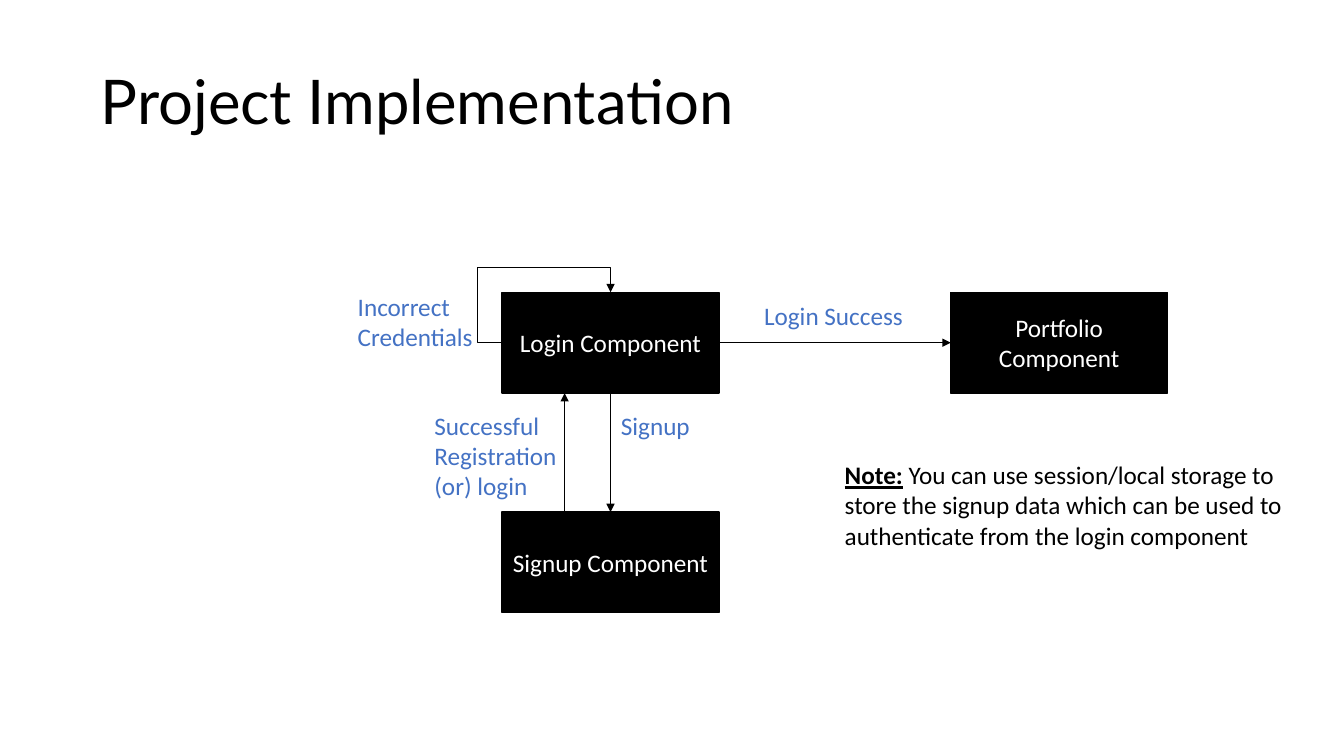
"""Build the Project Implementation slide: a flow between three app components."""
from pptx import Presentation
from pptx.dml.color import RGBColor
from pptx.enum import shapes, text
from pptx.oxml import parse_xml
from pptx.oxml.ns import nsdecls
from pptx.util import Inches, Pt

BLACK, WHITE, BLUE = "000000", "FFFFFF", "4472C4"
BOX_WIDTH, BOX_HEIGHT = 2.15, 1.0
LOOP_OUTSET = 0.25
TOP, LEFT, BOTTOM, RIGHT = range(4)

TITLE = "Project Implementation"
COMPONENTS = {
    "Login Component": (4.98, 2.9),
    "Signup Component": (4.98, 5.08),
    "Portfolio Component": (9.43, 2.9),
}
FLOWS = [
    ("Login Component", RIGHT, "Portfolio Component", LEFT),
    ("Login Component", BOTTOM, "Signup Component", TOP),
]
RETURN_X = 5.6
LABELS = [
    ("Signup", 6.06, 4.02, 0.9, 0.4),
    ("Successful\nRegistration\n(or) login", 4.21, 4.02, 1.49, 1.01),
    ("Login Success", 7.48, 2.93, 1.6, 0.4),
    ("Incorrect\nCredentials", 3.45, 2.84, 1.36, 0.71),
]
NOTE_HEADING = "Note:"
NOTE = (" You can use session/local storage to store the signup data which can be "
        "used to authenticate from the login component")
NOTE_AREA = (8.28, 4.51, 4.74, 1.01)


def color(value):
    return RGBColor.from_string(value)


def add_run(paragraph, words, size=18, font="Calibri", fill=BLACK, bold=False, underline=False):
    run = paragraph.add_run()
    run.text = words
    run.font.size, run.font.name = Pt(size), font
    run.font.bold, run.font.underline = bold, underline
    run.font.color.rgb = color(fill)


def write(frame, words, align=text.PP_ALIGN.LEFT, anchor=text.MSO_ANCHOR.TOP,
          spacing=None, **run_format):
    frame.word_wrap = True
    frame.vertical_anchor = anchor
    for index, line in enumerate(words.split("\n")):
        paragraph = frame.add_paragraph() if index else frame.paragraphs[0]
        paragraph.alignment, paragraph.line_spacing = align, spacing
        add_run(paragraph, line, **run_format)


def add_text_box(slide, area, words, **text_format):
    frame = slide.shapes.add_textbox(*map(Inches, area)).text_frame
    write(frame, words, **text_format)
    return frame


def add_component(slide, name, left, top):
    shape = slide.shapes.add_shape(shapes.MSO_SHAPE.RECTANGLE, *map(
        Inches, (left, top, BOX_WIDTH, BOX_HEIGHT)))
    shape.shadow.inherit = False
    shape.fill.solid()
    shape.fill.fore_color.rgb = color(BLACK)
    shape.line.color.rgb = color(BLACK)
    shape.line.width = Pt(1)
    write(shape.text_frame, name, align=text.PP_ALIGN.CENTER,
          anchor=text.MSO_ANCHOR.MIDDLE, fill=WHITE)
    return shape


def add_arrow(slide, start, end, kind=shapes.MSO_CONNECTOR.STRAIGHT):
    arrow = slide.shapes.add_connector(kind, *map(Inches, (*start, *end)))
    arrow.line.color.rgb = color(BLACK)
    arrow.line.width = Pt(0.5)
    arrow.line._get_or_add_ln().append(
        parse_xml(f'<a:tailEnd {nsdecls("a")} type="triangle"/>'))
    arrow._element.spPr.append(parse_xml(f'<a:effectLst {nsdecls("a")}/>'))
    return arrow


def add_loop(slide, left, top):
    width, height = BOX_WIDTH / 2, BOX_HEIGHT / 2
    loop = add_arrow(slide, (left, top + height), (left + width, top),
                     kind=shapes.MSO_CONNECTOR.ELBOW)
    geometry = loop._element.spPr.prstGeom
    geometry.set("prst", "bentConnector4")
    ratios = (-LOOP_OUTSET / width, 1 + LOOP_OUTSET / height)
    guides = "".join(f'<a:gd name="adj{number}" fmla="val {round(ratio * 100000)}"/>'
                     for number, ratio in enumerate(ratios, 1))
    geometry.replace(geometry.avLst, parse_xml(f'<a:avLst {nsdecls("a")}>{guides}</a:avLst>'))


def build():
    presentation = Presentation()
    presentation.slide_width, presentation.slide_height = Inches(13.33), Inches(7.5)
    slide = presentation.slides.add_slide(presentation.slide_layouts[5])

    title = slide.shapes.title
    title.left, title.top, title.width, title.height = map(Inches, (0.9, 0.26, 11.53, 1.56))
    write(title.text_frame, TITLE, anchor=text.MSO_ANCHOR.MIDDLE, spacing=0.9,
          size=44, font="Lato")

    boxes = {name: add_component(slide, name, *place) for name, place in COMPONENTS.items()}
    for source, source_side, target, target_side in FLOWS:
        arrow = add_arrow(slide, COMPONENTS[source], COMPONENTS[target])
        arrow.begin_connect(boxes[source], source_side)
        arrow.end_connect(boxes[target], target_side)

    login_left, login_top = COMPONENTS["Login Component"]
    signup_top = COMPONENTS["Signup Component"][1]
    add_arrow(slide, (RETURN_X, signup_top), (RETURN_X, login_top + BOX_HEIGHT))
    add_loop(slide, login_left, login_top)

    for words, *area in LABELS:
        add_text_box(slide, area, words, fill=BLUE)
    note = add_text_box(slide, NOTE_AREA, NOTE_HEADING, bold=True, underline=True)
    add_run(note.paragraphs[0], NOTE)

    presentation.save("out.pptx")


build()
